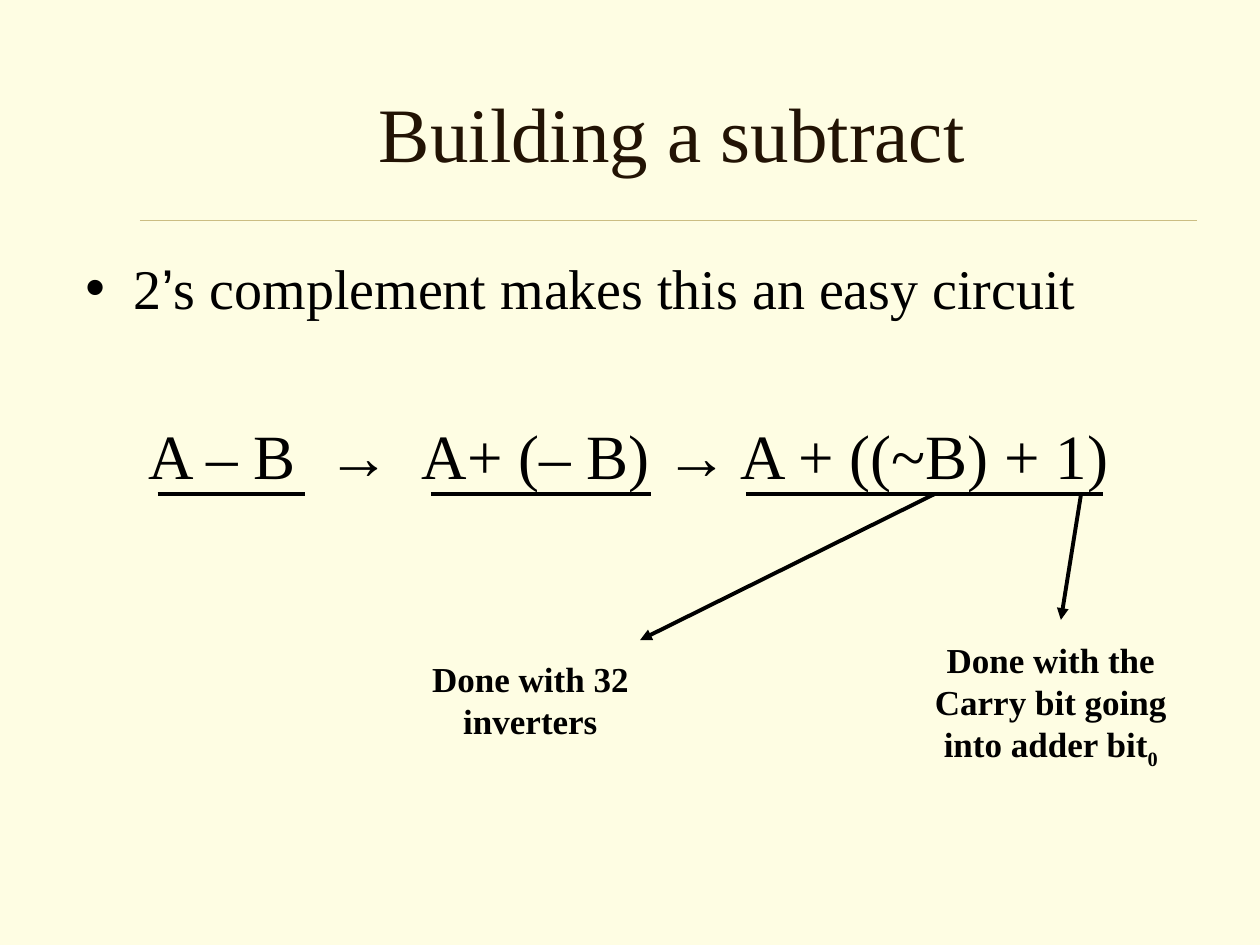
from pptx import Presentation
from pptx.dml.color import RGBColor
from pptx.enum.shapes import MSO_CONNECTOR as CONN
from pptx.enum.text import MSO_ANCHOR as ANCHOR, PP_ALIGN as ALIGN
from pptx.oxml.ns import qn
from pptx.util import Inches, Pt
from lxml.etree import SubElement

COLORS = {"bg": "FEFDE3", "title": "221304", "ink": "000000", "rule": "CBBD83"}
SERIF, SANS = "Times New Roman", "Arial"
UNDERLINE_Y = 3.92


def color(name):
    return RGBColor.from_string(COLORS[name])


def add_run(p, text, size, font=SERIF, ink="ink", bold=False):
    r = p.add_run()
    r.text = text
    r.font.name, r.font.size, r.font.bold = font, Pt(size), bold
    r.font.color.rgb = color(ink)
    return r


def add_line(slide, start, end, ink="ink", width=2.25, arrow=False):
    points = [Inches(v) for v in (*start, *end)]
    line = slide.shapes.add_connector(CONN.STRAIGHT, *points)
    line.line.color.rgb = color(ink)
    line.line.width = Pt(width)
    sp_pr = line._element.spPr
    if arrow:
        SubElement(sp_pr.find(qn("a:ln")), qn("a:tailEnd"), type="triangle")
    SubElement(sp_pr, qn("a:effectLst"))


def add_text_frame(slide, box):
    tf = slide.shapes.add_textbox(*[Inches(v) for v in box]).text_frame
    tf.word_wrap = True
    return tf


def add_title(slide, box):
    title = slide.shapes.title
    title.left, title.top, title.width, title.height = [Inches(v) for v in box]
    tf = title.text_frame
    tf.vertical_anchor = ANCHOR.MIDDLE
    p = tf.paragraphs[0]
    p.alignment = ALIGN.CENTER
    add_run(p, "Building a subtract", 44, ink="title")
    add_line(slide, (1.11, 1.75), (9.5, 1.75), "rule", 0.25)


def add_body(slide, box):
    tf = add_text_frame(slide, box)
    p = tf.paragraphs[0]
    p_pr = p._p.get_or_add_pPr()
    p_pr.set("marL", str(Inches(0.38)))
    p_pr.set("indent", str(Inches(-0.38)))
    SubElement(p_pr, qn("a:buFont"), typeface=SANS)
    SubElement(p_pr, qn("a:buChar"), char="•")
    add_run(p, "2", 32)
    add_run(p, "’", 32, SANS)
    add_run(p, "s complement makes this an easy circuit", 32)

    p = tf.add_paragraph()
    p.space_before = Pt(55)
    p._p.get_or_add_pPr().set("marL", str(Inches(0.5)))
    add_run(p, "A – B", 36)
    for text in ("→", "A+ (– B) → A + ((~B) + 1)"):
        wide_space = add_run(p, " ", 36)
        wide_space.font._element.set("spc", "900")
        add_run(p, text, 36)

    for left, right in ((1.25, 2.42), (3.42, 5.17), (5.92, 8.75)):
        add_line(slide, (left, UNDERLINE_Y), (right, UNDERLINE_Y))


def add_note(slide, box, lines, start_x, tip, subscript=""):
    add_line(slide, (start_x, UNDERLINE_Y), tip, arrow=True)
    tf = add_text_frame(slide, box)
    tf.margin_left = tf.margin_right = 0
    for i, text in enumerate(lines):
        p = tf.add_paragraph() if i else tf.paragraphs[0]
        p.alignment = ALIGN.CENTER
        add_run(p, text, 20, bold=True)
    if subscript:
        r = add_run(p, subscript, 20, bold=True)
        r.font._element.set("baseline", "-25000")


def main():
    prs = Presentation()
    prs.slide_width, prs.slide_height = Inches(10), Inches(7.5)
    slide = prs.slides.add_slide(prs.slide_layouts[5])
    slide.background.fill.solid()
    slide.background.fill.fore_color.rgb = color("bg")
    add_title(slide, (1.17, 0.42, 8.33, 1.25))
    add_body(slide, (0.58, 1.96, 8.92, 4.46))
    add_note(slide, (3.33, 5.17, 1.76, 0.77), ["Done with 32 inverters"],
             7.42, (5.08, 5.08))
    add_note(slide, (7.32, 5.02, 2.04, 1.1),
             ["Done with the", "Carry bit going", "into adder bit"],
             8.58, (8.42, 4.92), subscript="0")
    prs.save("out.pptx")


if __name__ == "__main__":
    main()
